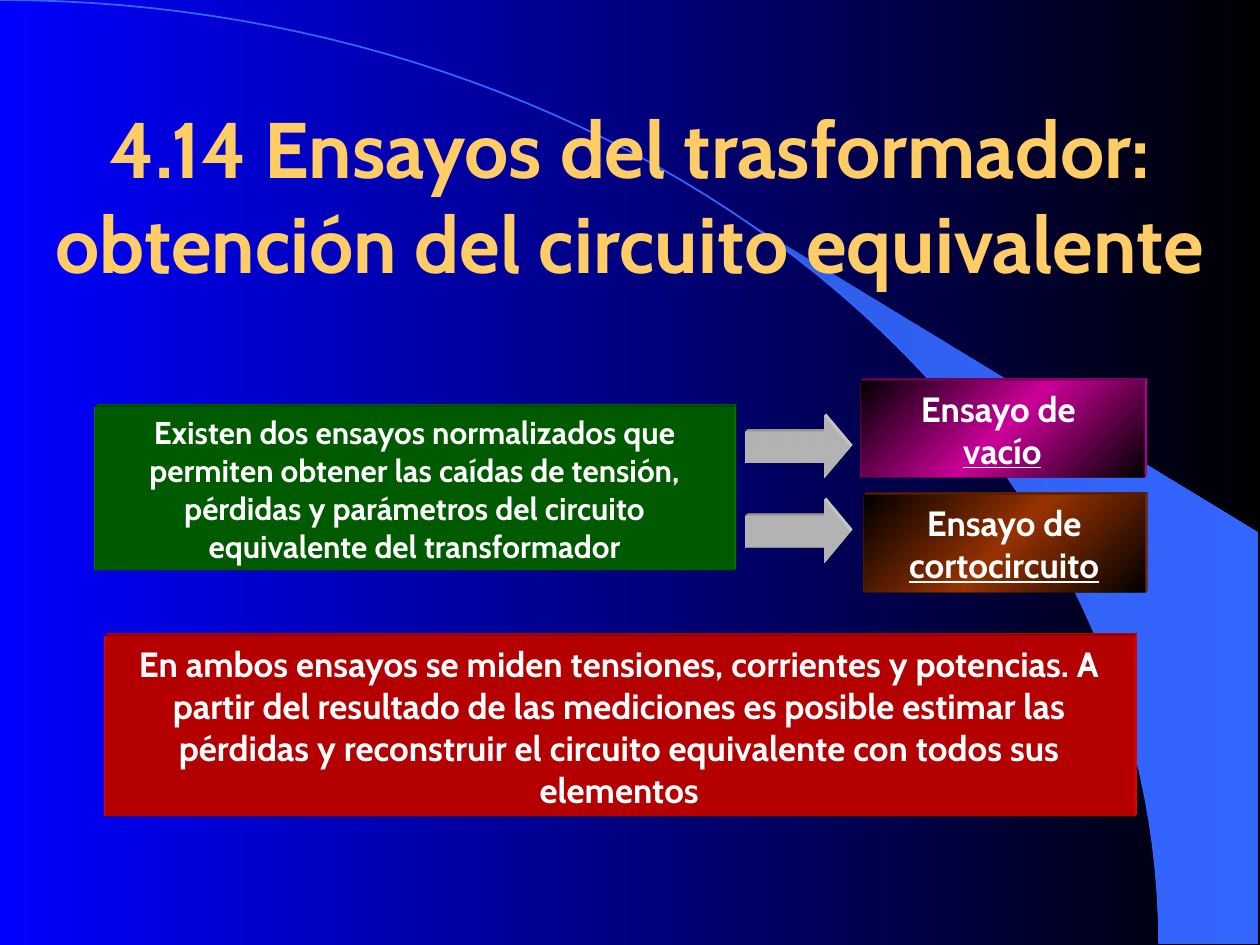
from math import asin, cos, pi, sin

from lxml import etree
from pptx import Presentation
from pptx.dml.color import RGBColor
from pptx.enum.shapes import MSO_SHAPE
from pptx.enum.text import MSO_ANCHOR, PP_ALIGN
from pptx.oxml import parse_xml
from pptx.oxml.ns import nsdecls, qn
from pptx.util import Inches, Pt

FONT = "Cabin"
WHITE = "FFFFFF"
ARC_WIDTH, ARC_HEIGHT = 9.2, 7.49


def rgb(color):
    return RGBColor.from_string(color)


def fill_gradient(fill, colors, angle=0):
    """Spread the colours evenly; the angle runs clockwise in degrees."""
    fill.gradient()
    fill.gradient_angle = -angle % 360
    stops = fill.gradient_stops
    stop_list = stops[0]._gs.getparent()
    for stop in list(stop_list):
        stop_list.remove(stop)
    for index, color in enumerate(colors):
        position = 100000 * index // (len(colors) - 1)
        stop = etree.SubElement(stop_list, qn("a:gs"), pos=str(position))
        etree.SubElement(stop, qn("a:srgbClr"), val=color)


def extrude(shape, color):
    """Give the shape a thin oblique depth to the top right."""
    properties = shape._element.spPr
    properties.append(parse_xml(
        f'<a:scene3d {nsdecls("a")}><a:camera prst="legacyObliqueTopRight"/>'
        '<a:lightRig rig="legacyFlat3" dir="b"/></a:scene3d>'))
    properties.append(parse_xml(
        f'<a:sp3d {nsdecls("a")} extrusionH="49200" prstMaterial="legacyMatte">'
        '<a:bevelT w="13500" h="13500" prst="angle"/>'
        '<a:bevelB w="13500" h="13500" prst="angle"/>'
        f'<a:extrusionClr><a:srgbClr val="{color}"/></a:extrusionClr></a:sp3d>'))


def format_text(frame, size, color):
    frame.word_wrap = True
    frame.vertical_anchor = MSO_ANCHOR.MIDDLE
    for paragraph in frame.paragraphs:
        paragraph.alignment = PP_ALIGN.CENTER
        for run in paragraph.runs:
            run.font.name = FONT
            run.font.size = Pt(size)
            run.font.bold = True
            run.font.color.rgb = rgb(color)


def add_block(slide, kind, box, color, glow=None):
    block = slide.shapes.add_shape(kind, *map(Inches, box))
    if glow:
        fill_gradient(block.fill, ["000000", glow, "000000"], 45)
    else:
        block.fill.solid()
        block.fill.fore_color.rgb = rgb(color)
    block.line.fill.background()
    block.shadow.inherit = False
    extrude(block, color)
    return block


def arc_points(start, steps=60):
    """Points of the quarter ellipse from the angle start down to its foot."""
    angles = [start + (pi / 2 - start) * i / steps for i in range(steps + 1)]
    return [(Inches(ARC_WIDTH * sin(a)), Inches(ARC_HEIGHT * (1 - cos(a))))
            for a in angles]


def add_outline(slide, points, close):
    builder = slide.shapes.build_freeform(*points[0])
    builder.add_line_segments(points[1:], close=close)
    outline = builder.convert_to_shape()
    outline.shadow.inherit = False
    return outline


def add_backdrop(slide):
    fill_gradient(slide.background.fill, ["0000FF", "000000"])
    tip = asin(5.89 / ARC_WIDTH)
    right = Inches(9.99)
    corners = [(right, Inches(ARC_HEIGHT)), (right, Inches(4.23))]
    crescent = add_outline(slide, arc_points(tip) + corners, True)
    fill_gradient(crescent.fill, ["2E5DE7", "3366FF"])
    crescent.line.fill.background()
    arc = add_outline(slide, arc_points(0), False)
    arc.fill.background()
    arc.line.color.rgb = rgb("3366FF")
    arc.line.width = Pt(1)


def add_title(slide, box, text):
    title = slide.shapes.add_textbox(*map(Inches, box))
    title.text_frame.text = text
    format_text(title.text_frame, 45, "FFCC66")
    properties = title.text_frame.paragraphs[0].runs[0].font._element
    properties.find(qn("a:solidFill")).addnext(parse_xml(
        f'<a:effectLst {nsdecls("a")}><a:outerShdw dist="38100" dir="2700000">'
        '<a:srgbClr val="000000"/></a:outerShdw></a:effectLst>'))


def add_statement(slide, box, text, size, color):
    statement = add_block(slide, MSO_SHAPE.RECTANGLE, box, color)
    statement.text_frame.text = text
    format_text(statement.text_frame, size, WHITE)


def add_test(slide, box, name, color, new_paragraph):
    test = add_block(slide, MSO_SHAPE.RECTANGLE, box, color, glow=color)
    frame = test.text_frame
    frame.text = "Ensayo de "
    line = frame.add_paragraph() if new_paragraph else frame.paragraphs[0]
    kind = line.add_run()
    kind.text = name
    kind.font.underline = True
    format_text(frame, 20, WHITE)


def add_arrow(slide, box):
    arrow = add_block(slide, MSO_SHAPE.RIGHT_ARROW, box, WHITE)
    arrow.adjustments[1] = 0.42


def main():
    deck = Presentation()
    deck.slide_width, deck.slide_height = Inches(10), Inches(7.5)
    slide = deck.slides.add_slide(deck.slide_layouts[6])
    add_backdrop(slide)
    add_title(slide, (0.08, 0.92, 9.83, 1.25),
              "4.14 Ensayos del trasformador: obtención del circuito equivalente")
    add_statement(
        slide, (0.83, 5.05, 8.17, 1.43),
        "En ambos ensayos se miden tensiones, corrientes y potencias. "
        "A partir del resultado de las mediciones es posible estimar las "
        "pérdidas y reconstruir el circuito equivalente con todos sus elementos",
        20, "FF0000")
    add_statement(
        slide, (0.75, 3.23, 5.08, 1.3),
        "Existen dos ensayos normalizados que permiten obtener las caídas de "
        "tensión, pérdidas y parámetros del circuito equivalente del transformador",
        18, "008000")
    add_test(slide, (6.83, 3.02, 2.25, 0.77), "vacío", "CC0099", True)
    add_test(slide, (6.85, 3.93, 2.24, 0.77), "cortocircuito", "993300", False)
    for top in (3.3, 3.97):
        add_arrow(slide, (5.92, top, 0.83, 0.5))
    deck.save("out.pptx")


if __name__ == "__main__":
    main()
